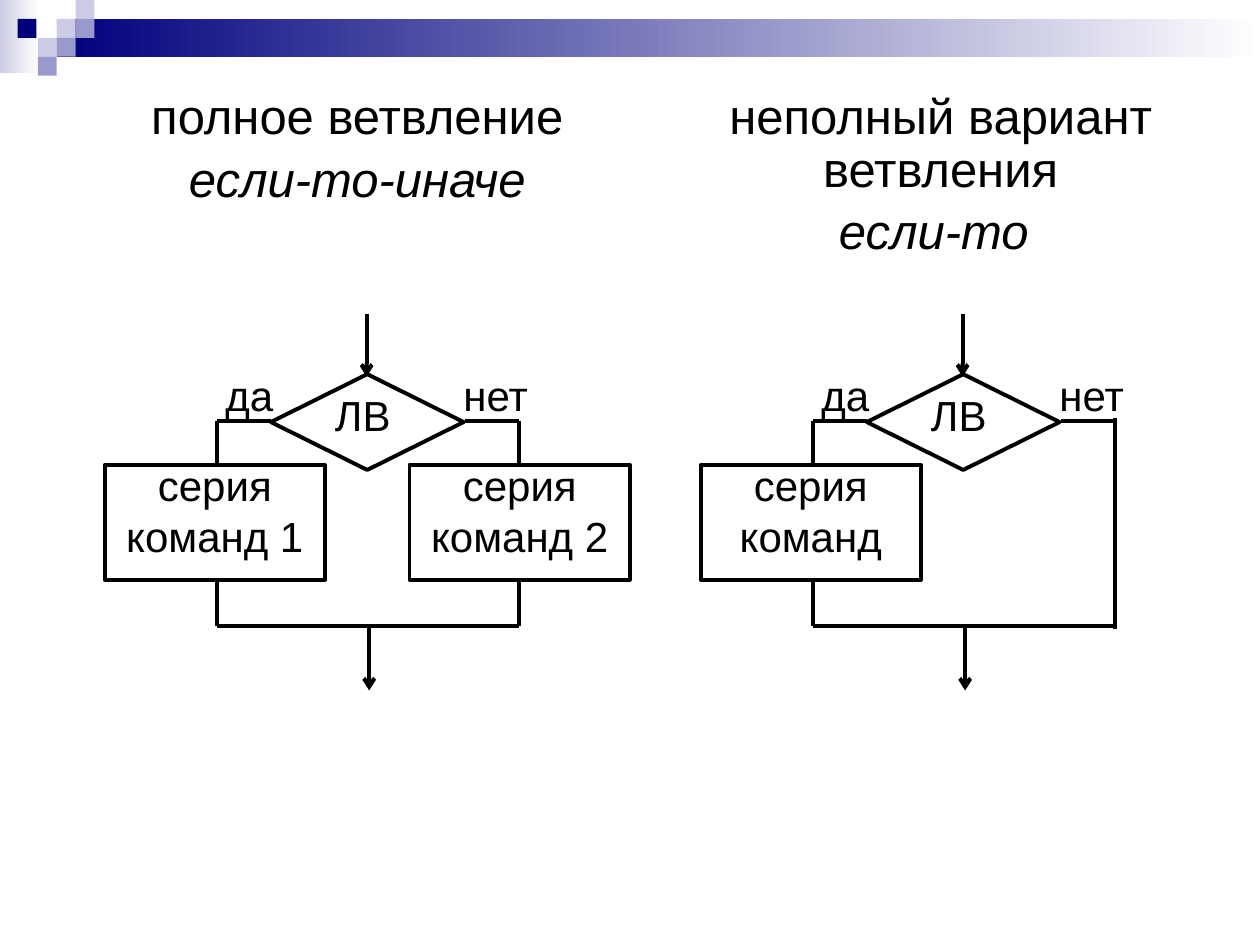
from dataclasses import dataclass

from lxml.etree import SubElement
from pptx import Presentation
from pptx.dml.color import RGBColor as RGB
from pptx.enum.shapes import MSO_CONNECTOR as Connector, MSO_SHAPE as Preset
from pptx.enum.text import MSO_ANCHOR as Anchor, MSO_AUTO_SIZE as AutoSize, PP_ALIGN as Align
from pptx.oxml.ns import qn
from pptx.util import Inches, Pt


@dataclass(frozen=True)
class Theme:
    font: str = "Arial"
    ink: RGB = RGB(0, 0, 0)
    paper: RGB = RGB(255, 255, 255)
    navy: RGB = RGB(0x00, 0x00, 0x7D)
    violet: RGB = RGB(0x99, 0x99, 0xCC)
    lilac: RGB = RGB(0xCC, 0xCC, 0xE6)
    heading: Pt = Pt(28)
    label: Pt = Pt(24)
    stroke: Pt = Pt(2.25)


THEME = Theme()
FLOW_GAP = 4.73
SQUARE = 0.15


def inches(*lengths):
    return [Inches(length) for length in lengths]


def style(paragraph, size, align, italic=False):
    paragraph.alignment = align
    font = paragraph.font
    font.name, font.size, font.italic = THEME.font, size, italic
    font.color.rgb = THEME.ink


def add_block(shapes, preset, box):
    block = shapes.add_shape(preset, *inches(*box))
    block.shadow.inherit = False
    return block


def add_tile(shapes, box, color, fade=False):
    """Borderless rectangle, plain or fading to the paper colour on the right."""
    tile = add_block(shapes, Preset.RECTANGLE, box)
    tile.line.fill.background()
    if fade:
        tile.fill.gradient()
        tile.fill.gradient_angle = 0
        for stop, shade in zip(tile.fill.gradient_stops, (color, THEME.paper)):
            stop.color.rgb = shade
    else:
        tile.fill.solid()
        tile.fill.fore_color.rgb = color


def add_node(shapes, preset, box):
    node = add_block(shapes, preset, box)
    node.fill.solid()
    node.fill.fore_color.rgb = THEME.paper
    node.line.color.rgb = THEME.ink
    node.line.width = THEME.stroke


def add_line(shapes, start, end, arrow=False):
    connector = shapes.add_connector(Connector.STRAIGHT, *inches(*start, *end))
    connector.line.color.rgb = THEME.ink
    connector.line.width = THEME.stroke
    if arrow:
        SubElement(connector.line._get_or_add_ln(), qn("a:tailEnd"), type="arrow")
    SubElement(connector._element.spPr, qn("a:effectLst"))


def add_label(shapes, box, lines, align=Align.LEFT):
    frame = shapes.add_textbox(*inches(*box)).text_frame
    frame.word_wrap = True
    frame.text = "\n".join(lines)
    for paragraph in frame.paragraphs:
        style(paragraph, THEME.label, align)


def fill_heading(shape, name, formula):
    """Branching name with its formula in italics below."""
    frame = shape.text_frame
    frame.word_wrap = True
    frame.auto_size = AutoSize.NONE
    frame.vertical_anchor = Anchor.TOP
    frame.text = f"{name}\n{formula}"
    for paragraph, italic in zip(frame.paragraphs, (False, True)):
        style(paragraph, THEME.heading, Align.CENTER, italic)
        paragraph.line_spacing = 0.9
        paragraph.space_before = Pt(5.6)
        properties = paragraph._p.get_or_add_pPr()
        properties.set("marL", "0")
        properties.set("indent", "0")
        SubElement(properties, qn("a:buNone"))


def add_banner(slide):
    banner = slide.shapes.add_group_shape().shapes
    add_tile(banner, (0, 0, 0.31, 0.58), THEME.lilac, fade=True)
    add_tile(banner, (0.45, 0.15, 9.55, 0.3), THEME.navy, fade=True)
    squares = (
        (3, 1, THEME.lilac), (4, 0, THEME.lilac), (4, 1, THEME.violet),
        (2, 2, THEME.lilac), (0.93, 1, THEME.navy), (3, 2, THEME.violet),
        (2, 3, THEME.violet),
    )
    for column, row, color in squares:
        add_tile(banner, (column * SQUARE, row * SQUARE, SQUARE, SQUARE), color)


def add_flowchart(slide, left, yes_step, no_step=None):
    """Branching diagram; without no_step the "нет" branch runs straight down."""
    shapes = slide.shapes.add_group_shape().shapes
    yes_x, no_x = left + 0.89, left + 3.29
    fork_y, step_y, step_end, join_y = 3.34, 3.69, 4.6, 4.97

    add_node(shapes, Preset.DIAMOND, (left + 1.32, 2.97, 1.53, 0.76))
    add_line(shapes, (left + 2.08, 2.49), (left + 2.08, 2.99), arrow=True)
    add_line(shapes, (yes_x, fork_y), (left + 1.32, fork_y))
    add_line(shapes, (left + 2.86, fork_y), (no_x, fork_y))

    for x, step_left, step in ((yes_x, left, yes_step), (no_x, left + 2.42, no_step)):
        if step is None:
            add_line(shapes, (x, fork_y - 0.02), (x, join_y + 0.02))
            continue
        add_node(shapes, Preset.RECTANGLE, (step_left, step_y, 1.75, step_end - step_y))
        add_label(shapes, (step_left, 3.6, 1.75, 1.01), step, Align.CENTER)
        add_line(shapes, (x, fork_y), (x, step_y))
        add_line(shapes, (x, step_end), (x, join_y))

    add_line(shapes, (yes_x, join_y), (no_x, join_y))
    add_line(shapes, (left + 2.1, join_y), (left + 2.1, 5.48), arrow=True)
    add_label(shapes, (left + 1.73, 3.04, 0.79, 0.55), ["ЛВ"])
    add_label(shapes, (left + 0.86, 2.88, 0.66, 0.4), ["да"])
    add_label(shapes, (left + 2.75, 2.88, 0.8, 0.4), ["нет"])


def main():
    deck = Presentation()
    deck.slide_width, deck.slide_height = inches(10, 7.5)
    slide = deck.slides.add_slide(deck.slide_layouts.get_by_name("Title and Content"))
    title, full_heading = slide.placeholders
    title._element.getparent().remove(title._element)

    add_banner(slide)
    (full_heading.left, full_heading.top,
     full_heading.width, full_heading.height) = inches(1.06, 0.68, 3.55, 1.02)
    fill_heading(full_heading, "полное ветвление ", "если-то-иначе")
    short_heading = slide.shapes.add_textbox(*inches(5.12, 0.68, 4.69, 1.57))
    fill_heading(short_heading, "неполный вариант ветвления", "если-то ")

    left = 0.83
    add_flowchart(slide, left, ["серия", "команд 1"], ["серия", "команд 2"])
    add_flowchart(slide, left + FLOW_GAP, ["серия", "команд"])
    deck.save("out.pptx")


if __name__ == "__main__":
    main()
